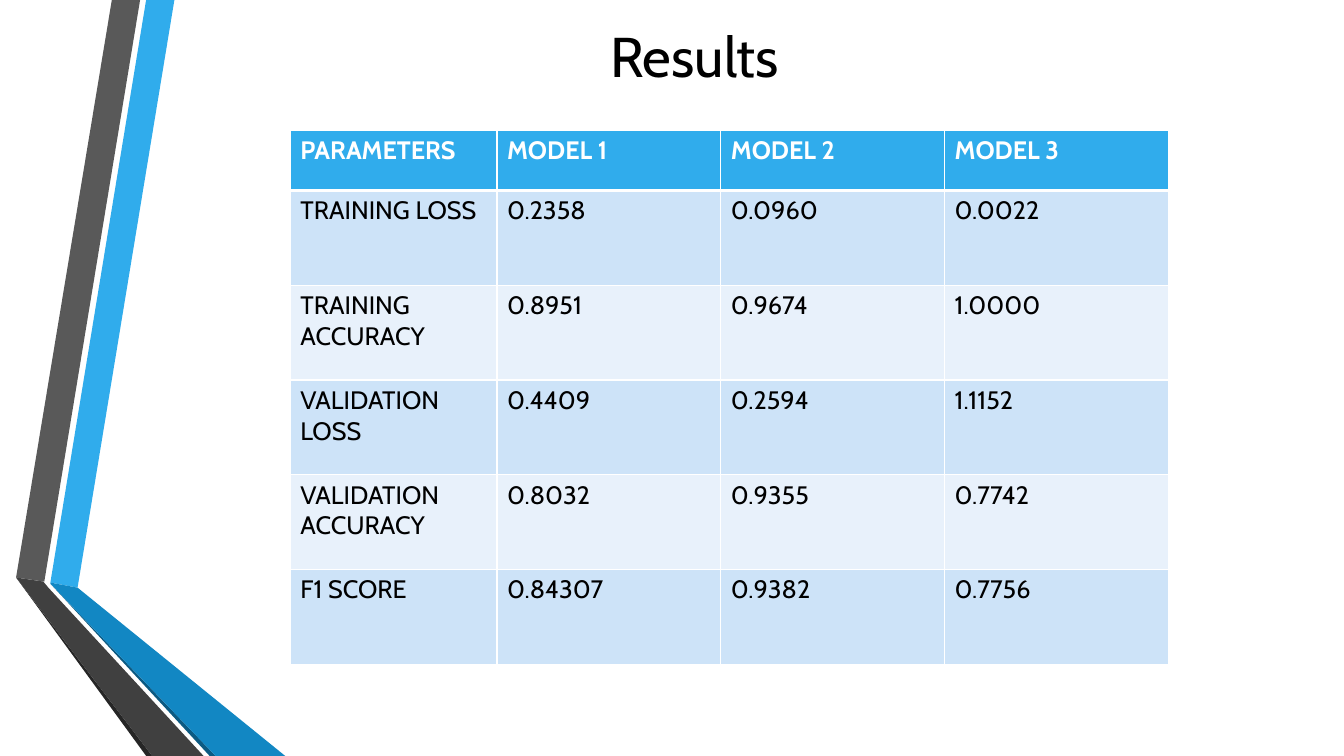
"""Build the model results slide: a folded ribbon, a title and a table."""
from lxml.etree import SubElement
from pptx import Presentation
from pptx.dml.color import RGBColor
from pptx.enum.text import MSO_ANCHOR, PP_ALIGN
from pptx.oxml.ns import qn
from pptx.util import Emu, Pt

PX = 9144
SLIDE_SIZE = (1333, 750)
FONT = "Cabin"

WHITE = RGBColor(0xFF, 0xFF, 0xFF)
BLACK = RGBColor(0x00, 0x00, 0x00)
BLUE = RGBColor(0x30, 0xAC, 0xEC)
BLUE_FOLD = RGBColor(0x12, 0x87, 0xC3)
BLUE_EDGE = RGBColor(0x0C, 0x5A, 0x82)
GREY = RGBColor(0x59, 0x59, 0x59)
GREY_FOLD = RGBColor(0x40, 0x40, 0x40)
GREY_EDGE = RGBColor(0x26, 0x26, 0x26)
BAND_DARK = RGBColor(0xCD, 0xE3, 0xF8)
BAND_LIGHT = RGBColor(0xE8, 0xF1, 0xFB)

RIBBONS = [
    (BLUE, [(50, 578), (77, 583), (173, 0), (145, 0)]),
    (GREY, [(139, 0), (111, 0), (16, 573), (44, 577)]),
    (GREY_EDGE, [(16, 573), (145, 750), (151, 750)]),
    (BLUE_EDGE, [(50, 579), (208, 750), (214, 750)]),
    (BLUE_FOLD, [(50, 579), (214, 750), (283, 750), (77, 583), (50, 578)]),
    (GREY_FOLD, [(202, 750), (48, 583), (43, 577), (16, 573), (151, 750)]),
]

TITLE = "Results"
TITLE_BOX = (141, 0, 1096, 110)

RESULTS = [
    ("PARAMETERS", "MODEL 1", "MODEL 2", "MODEL 3"),
    ("TRAINING LOSS", "0.2358", "0.0960", "0.0022"),
    ("TRAINING ACCURACY", "0.8951", "0.9674", "1.0000"),
    ("VALIDATION LOSS", "0.4409", "0.2594", "1.1152"),
    ("VALIDATION ACCURACY", "0.8032", "0.9355", "0.7742"),
    ("F1 SCORE", "0.84307", "0.9382", "0.7756"),
]
TABLE_LEFT, TABLE_TOP = 288, 129
COLUMN_WIDTHS = [205] + [222] * 3
ROW_HEIGHTS = [60] + [94] * 5


def px(*lengths):
    return [Emu(length * PX) for length in lengths]


def write(frame, text, size=18, color=BLACK, bold=False, align=PP_ALIGN.LEFT):
    frame.word_wrap = True
    paragraph = frame.paragraphs[0]
    paragraph.alignment = align
    run = paragraph.add_run()
    run.text = text
    run.font.name = FONT
    run.font.size = Pt(size)
    run.font.bold = bold
    run.font.color.rgb = color


def draw_ribbon(slide, color, corners):
    builder = slide.shapes.build_freeform(*corners[0], scale=PX)
    builder.add_line_segments(corners[1:], close=True)
    ribbon = builder.convert_to_shape()
    ribbon.shadow.inherit = False
    ribbon.fill.solid()
    ribbon.fill.fore_color.rgb = color
    ribbon.line.fill.background()


def set_borders(cell, **widths):
    properties = cell._tc.get_or_add_tcPr()
    for side in "LRTB":
        line = SubElement(properties, qn(f"a:ln{side}"), w=str(Pt(widths.get(side, 1))))
        fill = SubElement(line, qn("a:solidFill"))
        SubElement(fill, qn("a:srgbClr"), val=str(WHITE))


def add_results(slide):
    frame = slide.shapes.add_table(
        len(RESULTS), len(COLUMN_WIDTHS),
        *px(TABLE_LEFT, TABLE_TOP, sum(COLUMN_WIDTHS), sum(ROW_HEIGHTS)))
    table = frame.table
    for column, width in zip(table.columns, px(*COLUMN_WIDTHS)):
        column.width = width
    for row, height in zip(table.rows, px(*ROW_HEIGHTS)):
        row.height = height
    for r, values in enumerate(RESULTS):
        header = r == 0
        band = BLUE if header else (BAND_LIGHT, BAND_DARK)[r % 2]
        for c, value in enumerate(values):
            cell = table.cell(r, c)
            set_borders(cell, T=3 if r == 1 else 1, B=3 if header else 1)
            cell.fill.solid()
            cell.fill.fore_color.rgb = band
            write(cell.text_frame, value, color=WHITE if header else BLACK, bold=header)


def main():
    deck = Presentation()
    deck.slide_width, deck.slide_height = px(*SLIDE_SIZE)
    slide = deck.slides.add_slide(deck.slide_layouts[6])
    for color, corners in RIBBONS:
        draw_ribbon(slide, color, corners)
    title = slide.shapes.add_textbox(*px(*TITLE_BOX)).text_frame
    title.vertical_anchor = MSO_ANCHOR.MIDDLE
    write(title, TITLE, size=40, align=PP_ALIGN.CENTER)
    add_results(slide)
    deck.save("out.pptx")


if __name__ == "__main__":
    main()
